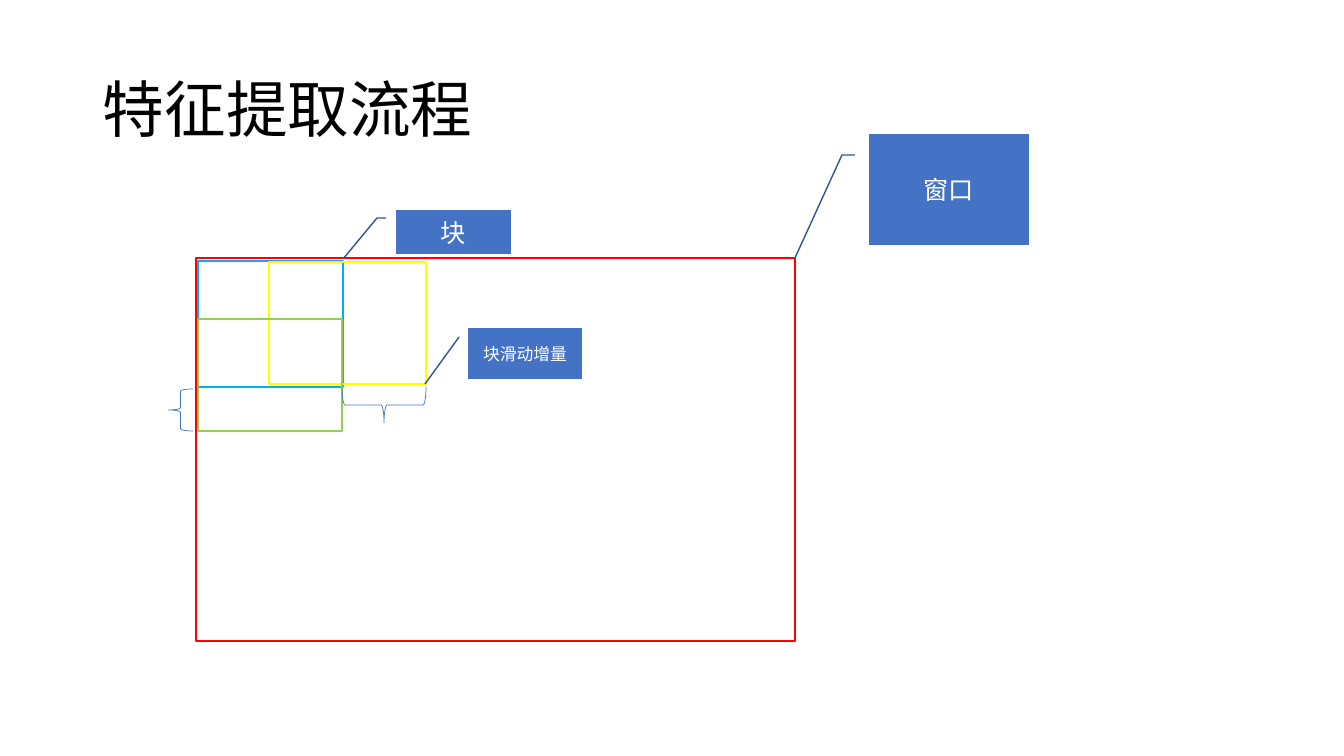
import lxml.etree
import pptx
import pptx.dml.color
import pptx.enum.shapes
import pptx.enum.text
import pptx.oxml.ns
import pptx.util

EMU_PER_PX = 914400 / 100.8
FONT = "Noto Sans CJK SC"
SHAPE = pptx.enum.shapes.MSO_SHAPE
ALIGN = pptx.enum.text.PP_ALIGN
RGB = pptx.dml.color.RGBColor
BLACK = RGB(0x00, 0x00, 0x00)
WHITE = RGB(0xFF, 0xFF, 0xFF)
RED = RGB(0xFF, 0x00, 0x00)
CYAN = RGB(0x00, 0xB0, 0xF0)
YELLOW = RGB(0xFF, 0xFF, 0x00)
GREEN = RGB(0x92, 0xD0, 0x50)
BLUE = RGB(0x44, 0x72, 0xC4)
DARK_BLUE = RGB(0x32, 0x54, 0x91)


def px(length):
    return pptx.util.Emu(round(length * EMU_PER_PX))


def write(frame, text, size, color, align):
    frame.word_wrap = True
    frame.vertical_anchor = pptx.enum.text.MSO_ANCHOR.MIDDLE
    paragraph = frame.paragraphs[0]
    paragraph.text = text
    paragraph.alignment = align
    font = paragraph.font
    font.size = pptx.util.Pt(size)
    font.color.rgb = color
    font.name = FONT
    east_asian = lxml.etree.SubElement(font._element, pptx.oxml.ns.qn("a:ea"))
    east_asian.set("typeface", FONT)
    return paragraph


def add_title(slide, box, text):
    title = slide.shapes.add_textbox(*map(px, box))
    write(title.text_frame, text, 44, BLACK, ALIGN.LEFT).line_spacing = 0.9


def add_outline(slide, kind, box, color, width):
    outline = slide.shapes.add_shape(kind, *map(px, box))
    outline.shadow.inherit = False
    outline.fill.background()
    outline.line.color.rgb = color
    outline.line.width = pptx.util.Pt(width)
    return outline


def add_callout(slide, kind, box, leader, text, size):
    callout = add_outline(slide, kind, box, DARK_BLUE, 1)
    callout.fill.solid()
    callout.fill.fore_color.rgb = BLUE
    left, top, width, height = box
    for i, (x, y) in enumerate(leader):
        callout.adjustments[2 * i] = (y - top) / height
        callout.adjustments[2 * i + 1] = (x - left) / width
    write(callout.text_frame, text, size, WHITE, ALIGN.CENTER)


def main():
    deck = pptx.Presentation()
    deck.slide_width, deck.slide_height = px(1344), px(756)
    slide = deck.slides.add_slide(deck.slide_layouts[6])

    add_title(slide, (93, 40, 1159, 146), "特征提取流程")
    add_outline(slide, SHAPE.RECTANGLE, (196, 258, 599, 383), RED, 1)
    add_callout(slide, SHAPE.LINE_CALLOUT_2_NO_BORDER, (869, 134, 160, 111),
                [(855, 155), (842, 155), (795, 258)], "窗口", 18)
    add_outline(slide, SHAPE.RECTANGLE, (198, 261, 145, 126), CYAN, 1)
    add_callout(slide, SHAPE.LINE_CALLOUT_2_NO_BORDER, (396, 210, 115, 44),
                [(386, 218), (377, 218), (343, 259)], "块", 18)
    add_outline(slide, SHAPE.RECTANGLE, (269, 262, 157, 122), YELLOW, 1)
    add_outline(slide, SHAPE.RECTANGLE, (198, 319, 144, 112), GREEN, 1)
    add_outline(slide, SHAPE.LEFT_BRACE, (168, 389, 25, 42), BLUE, 0.5)
    sliding_brace = add_outline(slide, SHAPE.RIGHT_BRACE, (366, 363, 36, 84), BLUE, 0.5)
    sliding_brace.rotation = 90
    add_callout(slide, SHAPE.LINE_CALLOUT_1_NO_BORDER, (468, 328, 114, 51),
                [(459, 337), (425, 384)], "块滑动增量", 12)
    deck.save("out.pptx")


if __name__ == "__main__":
    main()
